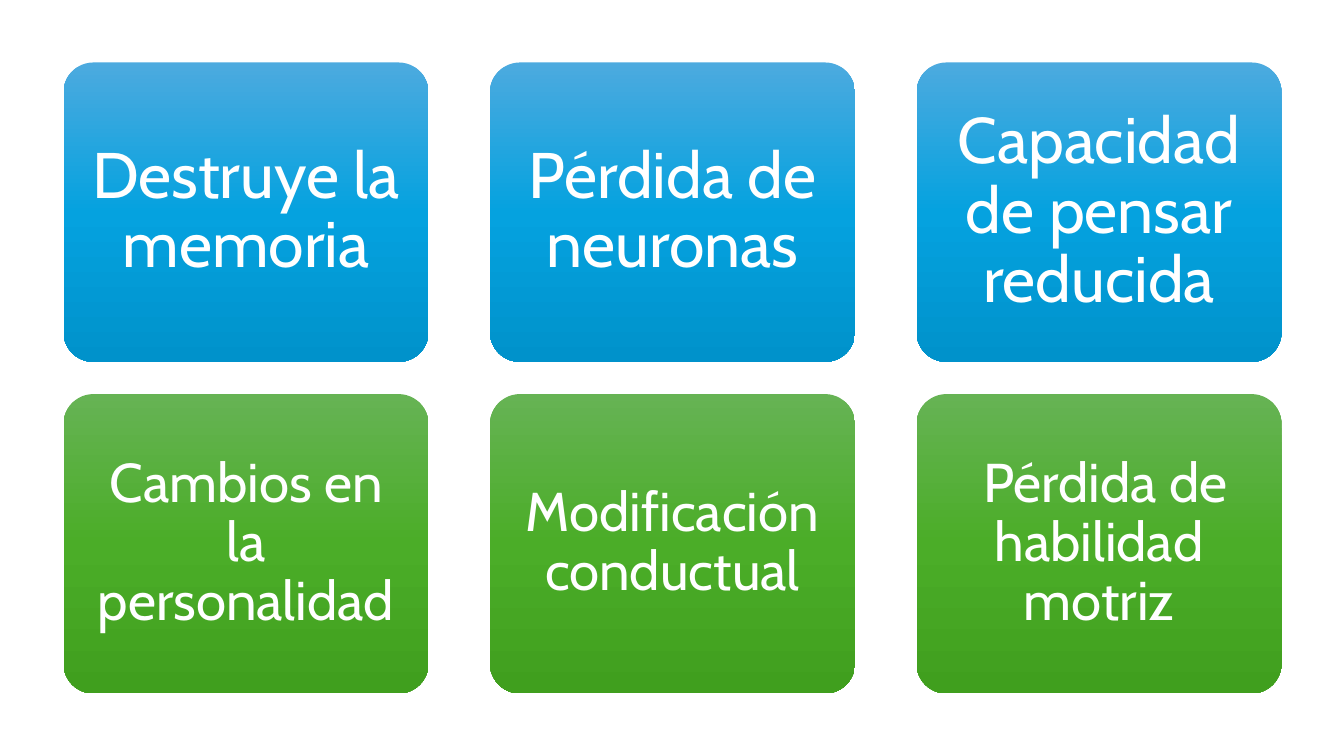
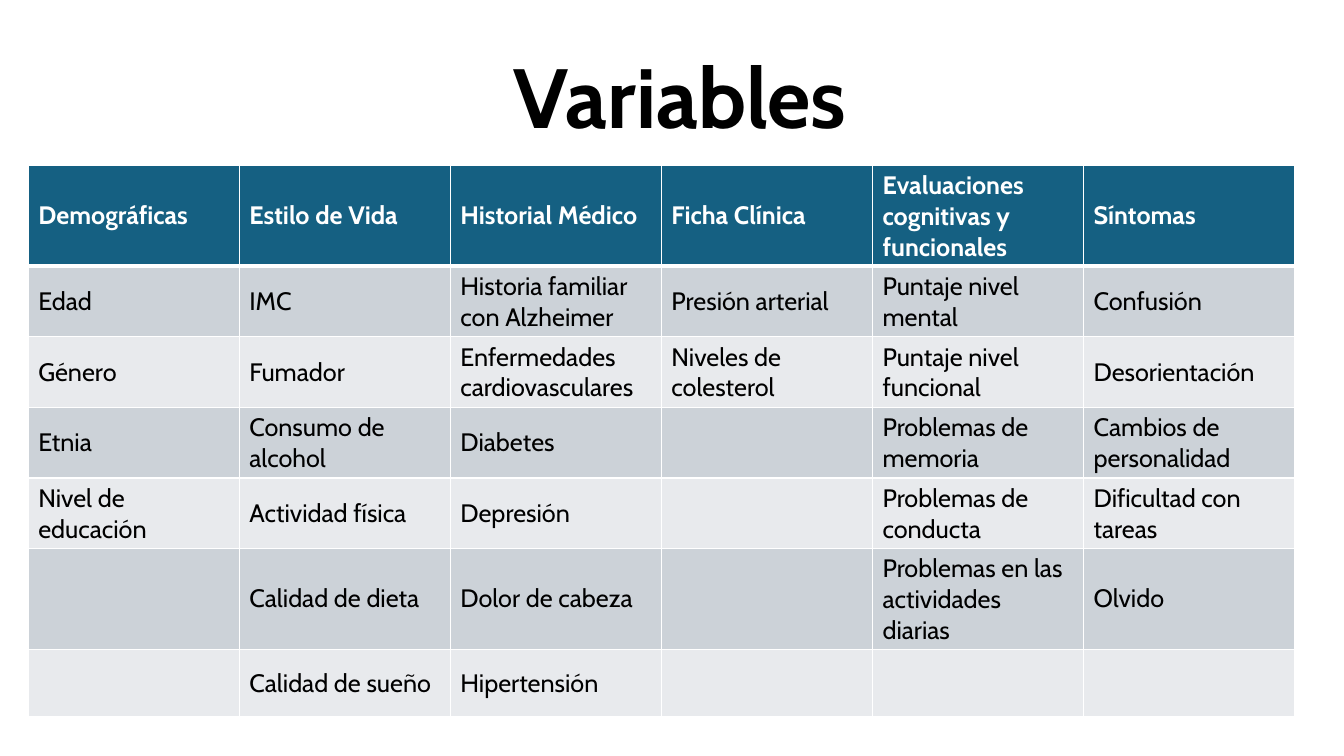
import copy
import pptx
import pptx.dml.color
import pptx.enum.shapes
import pptx.enum.text
import pptx.oxml
import pptx.oxml.ns
import pptx.util

FONT = "Cabin"
WHITE, BLACK = "FFFFFF", "000000"
HEADER_FILL = "156082"
BAND_FILLS = ("CCD2D8", "E8EAED")

CARD_ROWS = [
    {
        "texts": ["Destruye la memoria", "Pérdida de neuronas", "Capacidad de pensar reducida"],
        "size": 46, "inset": 19, "stops": ("4CAADF", "05A2DF", "0092CB"),
    },
    {
        "texts": ["Cambios en la personalidad", "Modificación conductual", " Pérdida de habilidad motriz"],
        "size": 39, "inset": 16, "stops": ("66B354", "4BAD28", "409F1E"),
    },
]
CARD_LEFT, CARD_TOP = 63, 62
CARD_WIDTH, CARD_HEIGHT = 362, 297
CARD_STEP_X, CARD_STEP_Y = 423, 329

TITLE = "Variables"
VARIABLES = {
    "Demográficas": ["Edad", "Género", "Etnia", "Nivel de educación"],
    "Estilo de Vida": ["IMC", "Fumador", "Consumo de alcohol", "Actividad física",
                       "Calidad de dieta", "Calidad de sueño"],
    "Historial Médico": ["Historia familiar con Alzheimer", "Enfermedades cardiovasculares",
                         "Diabetes", "Depresión", "Dolor de cabeza", "Hipertensión"],
    "Ficha Clínica": ["Presión arterial", "Niveles de colesterol"],
    "Evaluaciones cognitivas y funcionales": [
        "Puntaje nivel mental", "Puntaje nivel funcional", "Problemas de memoria",
        "Problemas de conducta", "Problemas en las actividades diarias"],
    "Síntomas": ["Confusión", "Desorientación", "Cambios de personalidad",
                 "Dificultad con tareas", "Olvido"],
}
ROW_HEIGHTS = [100, 70, 70, 70, 70, 100, 67]


def px(value):
    return pptx.util.Emu(value * 9144)


def color(value):
    return pptx.dml.color.RGBColor.from_string(value)


def write(frame, text, size=18, fill=BLACK, bold=False, align="LEFT", spacing=None):
    frame.word_wrap = True
    para = frame.paragraphs[0]
    para.alignment = getattr(pptx.enum.text.PP_ALIGN, align)
    para.line_spacing = spacing
    span = para.add_run()
    span.text = text
    span.font.name = FONT
    span.font.size = pptx.util.Pt(size)
    span.font.bold = bold
    span.font.color.rgb = color(fill)


def fill_gradient(shape, stops):
    shape.fill.gradient()
    shape.fill.gradient_angle = 270
    first = next(shape._element.iter(pptx.oxml.ns.qn("a:gs")))
    first.addnext(copy.deepcopy(first))
    for index, (stop, value) in enumerate(zip(shape.fill.gradient_stops, stops)):
        stop.position = index / (len(stops) - 1)
        stop.color.rgb = color(value)


def add_card(page, left, top, text, size, inset, stops):
    card = page.shapes.add_shape(pptx.enum.shapes.MSO_SHAPE.ROUNDED_RECTANGLE,
                                 px(left), px(top), px(CARD_WIDTH), px(CARD_HEIGHT))
    card.adjustments[0] = 0.1
    card.shadow.inherit = False
    card.line.fill.background()
    fill_gradient(card, stops)
    frame = card.text_frame
    frame.vertical_anchor = pptx.enum.text.MSO_ANCHOR.MIDDLE
    for side in ("left", "top", "right", "bottom"):
        setattr(frame, f"margin_{side}", px(inset))
    write(frame, text, size=size, fill=WHITE, align="CENTER", spacing=0.9)


def set_borders(cell, bottom=1):
    properties = cell._tc.get_or_add_tcPr()
    widths = {"lnL": 1, "lnR": 1, "lnT": 1, "lnB": bottom}
    for index, (tag, width) in enumerate(widths.items()):
        border = pptx.oxml.parse_xml(
            f'<a:{tag} {pptx.oxml.ns.nsdecls("a")} w="{pptx.util.Pt(width)}">'
            f'<a:solidFill><a:srgbClr val="{WHITE}"/></a:solidFill></a:{tag}>')
        properties.insert(index, border)


def build_effects(page):
    for row, band in enumerate(CARD_ROWS):
        for column, text in enumerate(band["texts"]):
            add_card(page, CARD_LEFT + column * CARD_STEP_X, CARD_TOP + row * CARD_STEP_Y,
                     text, band["size"], band["inset"], band["stops"])


def build_variables(page):
    box = page.shapes.add_textbox(px(166), px(39), px(1017), px(111))
    write(box.text_frame, TITLE, size=60, bold=True, align="CENTER")
    table = page.shapes.add_table(len(ROW_HEIGHTS), len(VARIABLES), px(28), px(164),
                                  px(1256), px(sum(ROW_HEIGHTS))).table
    for row, height in zip(table.rows, ROW_HEIGHTS):
        row.height = px(height)
    for column, (heading, entries) in enumerate(VARIABLES.items()):
        texts = [heading] + entries
        for row in range(len(ROW_HEIGHTS)):
            header = row == 0
            cell = table.cell(row, column)
            cell.vertical_anchor = pptx.enum.text.MSO_ANCHOR.MIDDLE
            cell.fill.solid()
            cell.fill.fore_color.rgb = color(HEADER_FILL if header else BAND_FILLS[(row - 1) % 2])
            set_borders(cell, bottom=3 if header else 1)
            if row < len(texts):
                write(cell.text_frame, texts[row], fill=WHITE if header else BLACK, bold=header)


def main():
    deck = pptx.Presentation()
    deck.slide_width, deck.slide_height = px(1333), px(750)
    for build in (build_effects, build_variables):
        build(deck.slides.add_slide(deck.slide_layouts[6]))
    deck.save("out.pptx")


if __name__ == "__main__":
    main()
